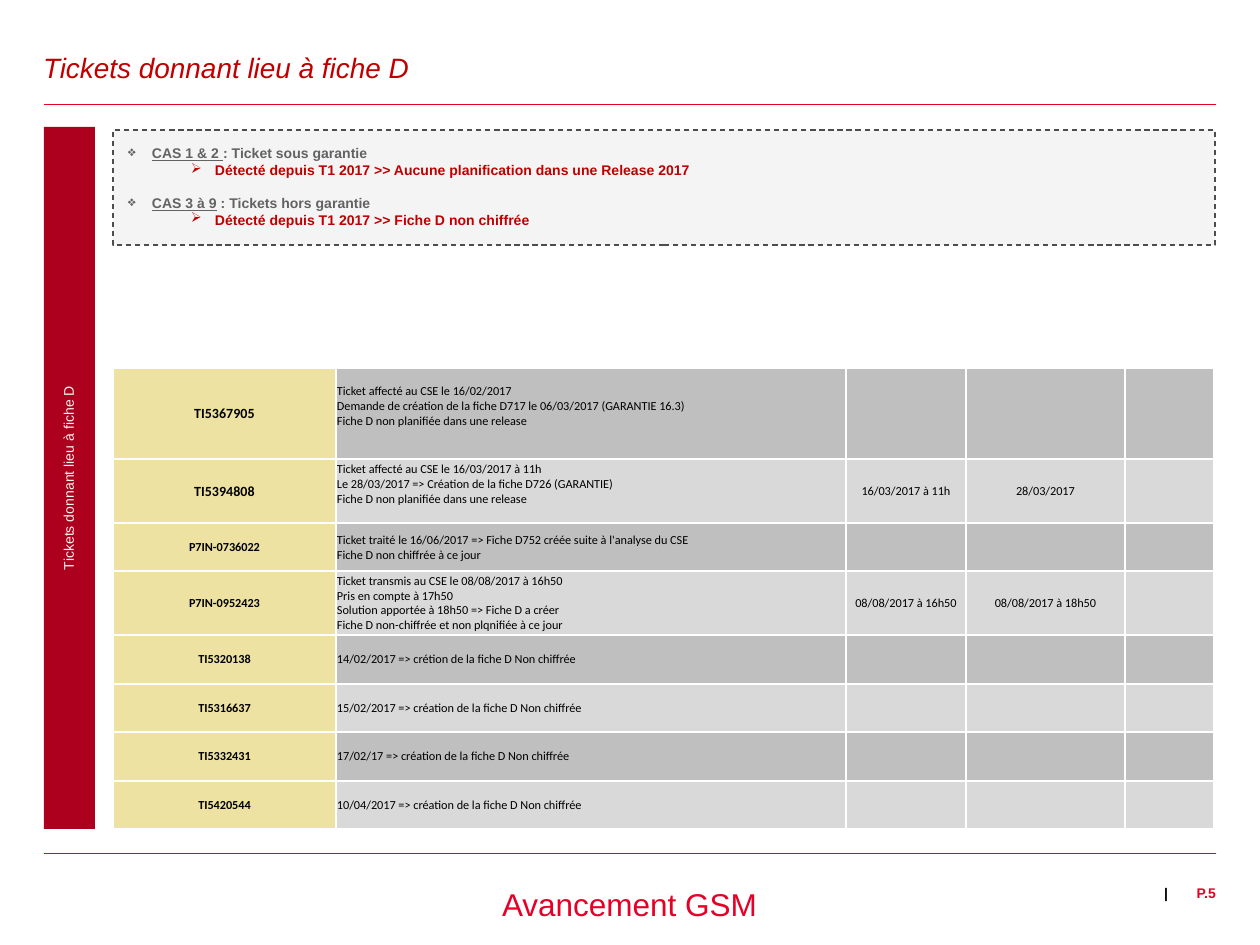
from dataclasses import dataclass

from lxml import etree
from pptx import Presentation
from pptx import util as u
from pptx.dml.color import RGBColor
from pptx.enum import dml, shapes, text
from pptx.oxml import ns

SCALE = 914400 / 126
RED, DARK_RED, BAR_RED = "E60028", "C00000", "AC001E"
GREY, BLACK, WHITE, SAND = "626262", "000000", "FFFFFF", "EDE2A1"
ROW_FILLS = ("BFBFBF", "D9D9D9")
TITLE = "Tickets donnant lieu à fiche D"
LEFT, RIGHT = 44, 1216
COLUMN_WIDTHS = (223, 510, 120, 159, 89)


@dataclass
class Ticket:
    number: str
    history: str
    height: int
    start: str = ""
    end: str = ""
    number_size: int = 7
    space_below: int = 0


@dataclass
class Case:
    name: str
    scope: str
    status: str
    gap: float = 0


TICKETS = [
    Ticket("TI5367905", "Ticket affecté au CSE le 16/02/2017\v"
           "Demande de création de la fiche D717 le 06/03/2017 (GARANTIE 16.3)\v"
           "Fiche D non planifiée dans une release", 91, number_size=8, space_below=15),
    Ticket("TI5394808", "Ticket affecté au CSE le 16/03/2017 à 11h\v"
           "Le 28/03/2017 => Création de la fiche D726 (GARANTIE)\v"
           "Fiche D non planifiée dans une release", 64,
           "16/03/2017 à 11h", "28/03/2017", number_size=8, space_below=15),
    Ticket("P7IN-0736022", "Ticket traité le 16/06/2017 => Fiche D752 créée suite à l'analyse du CSE\v"
           "Fiche D non chiffrée à ce jour", 48),
    Ticket("P7IN-0952423", "Ticket transmis au CSE le 08/08/2017 à 16h50\v"
           "Pris en compte à 17h50\v"
           "Solution apportée à 18h50 => Fiche D a créer\v"
           "Fiche D non-chiffrée et non plqnifiée à ce jour", 64,
           "08/08/2017 à 16h50", "08/08/2017 à 18h50"),
    Ticket("TI5320138", "14/02/2017 => crétion de la fiche D Non chiffrée", 49),
    Ticket("TI5316637", "15/02/2017 => création de la fiche D Non chiffrée", 48),
    Ticket("TI5332431", "17/02/17 => création de la fiche D Non chiffrée", 49),
    Ticket("TI5420544", "10/04/2017 => création de la fiche D Non chiffrée", 48),
]
CASES = [
    Case("CAS 1 & 2 ", ": Ticket sous garantie",
         "Détecté depuis T1 2017 >> Aucune planification dans une Release 2017"),
    Case("CAS 3 à 9", " : Tickets hors garantie",
         "Détecté depuis T1 2017 >> Fiche D non chiffrée", 9.2),
]


def px(length: int) -> int:
    return round(length * SCALE)


def color(value: str) -> RGBColor:
    return RGBColor.from_string(value)


def set_font(para, size: int, value: str, name: str = "Arial", bold: bool = False) -> None:
    para.font.size = u.Pt(size)
    para.font.name = name
    para.font.bold = bold
    para.font.color.rgb = color(value)


def set_frame(frame, left: int = 0, top: int = 0, anchor=text.MSO_ANCHOR.TOP) -> None:
    frame.margin_left, frame.margin_top = px(left), px(top)
    frame.margin_right = frame.margin_bottom = 0
    frame.vertical_anchor = anchor
    frame.word_wrap = True


def add_rule(page, y: int) -> None:
    rule = page.shapes.add_connector(
        shapes.MSO_CONNECTOR.STRAIGHT, px(RIGHT), px(y), px(LEFT), px(y))
    rule.line.color.rgb = color(RED)
    rule.line.width = u.Pt(0.5)
    etree.SubElement(rule._element.spPr, ns.qn("a:effectLst"))


def add_label(page, words: str, left: int, width: int, size: int, value: str,
              align, bold: bool = False) -> None:
    box = page.shapes.add_textbox(px(left), px(885), px(width), px(60))
    set_frame(box.text_frame)
    para = box.text_frame.paragraphs[0]
    para.text, para.alignment = words, align
    set_font(para, size, value, bold=bold)


def add_rectangle(page, left: int, top: int, width: int, height: int, fill: str):
    box = page.shapes.add_shape(
        shapes.MSO_SHAPE.RECTANGLE, px(left), px(top), px(width), px(height))
    box.shadow.inherit = False
    box.fill.solid()
    box.fill.fore_color.rgb = color(fill)
    box.line.fill.background()
    return box


def set_title(page) -> None:
    title = page.shapes.title
    title.left, title.top, title.width, title.height = px(43), px(35), px(1171), px(69)
    set_frame(title.text_frame, anchor=text.MSO_ANCHOR.MIDDLE)
    para = title.text_frame.paragraphs[0]
    para.text, para.alignment, para.line_spacing = TITLE, text.PP_ALIGN.LEFT, 0.9
    set_font(para, 16, DARK_RED)
    para.font.italic = True


def add_side_bar(page) -> None:
    bar = add_rectangle(page, LEFT, 127, 51, 702, BAR_RED)
    set_frame(bar.text_frame, anchor=text.MSO_ANCHOR.MIDDLE)
    bar.text_frame._txBody.bodyPr.set("vert", "vert270")
    para = bar.text_frame.paragraphs[0]
    para.text, para.alignment, para.line_spacing = TITLE, text.PP_ALIGN.CENTER, 0.9
    set_font(para, 8, "F8F6EE")


def set_bullet(para, symbol: str, indent: int) -> None:
    properties = para._p.get_or_add_pPr()
    properties.set("marL", str(px(indent)))
    properties.set("indent", str(px(-24)))
    etree.SubElement(properties, ns.qn("a:buChar"), char=symbol)
    para.alignment = text.PP_ALIGN.LEFT


def add_cases(page) -> None:
    box = add_rectangle(page, 113, 130, 1102, 115, "F2F2F2")
    fill_color = box._element.spPr.find(ns.qn("a:solidFill"))[0]
    etree.SubElement(fill_color, ns.qn("a:alpha"), val="80000")
    box.line.color.rgb = color("4D4D4D")
    box.line.width = u.Pt(0.75)
    box.line.dash_style = dml.MSO_LINE.DASH
    frame = box.text_frame
    set_frame(frame, 15, 15)
    for index, case in enumerate(CASES):
        heading = frame.add_paragraph() if index else frame.paragraphs[0]
        set_bullet(heading, "❖", 24)
        heading.space_before = u.Pt(case.gap)
        set_font(heading, 8, GREY, bold=True)
        for words, underlined in ((case.name, True), (case.scope, False)):
            span = heading.add_run()
            span.text, span.font.underline = words, underlined
        status = frame.add_paragraph()
        status.text, status.level = case.status, 1
        set_bullet(status, "➢", 87)
        set_font(status, 8, DARK_RED, bold=True)


def set_borders(cell) -> None:
    properties = cell._tc.get_or_add_tcPr()
    for index, side in enumerate(("lnL", "lnR", "lnT", "lnB")):
        border = etree.Element(ns.qn(f"a:{side}"), w=str(u.Pt(1)))
        fill = etree.SubElement(border, ns.qn("a:solidFill"))
        etree.SubElement(fill, ns.qn("a:srgbClr"), val=WHITE)
        properties.insert(index, border)


def add_tickets(page) -> None:
    table = page.shapes.add_table(
        len(TICKETS), len(COLUMN_WIDTHS), px(113), px(368), px(sum(COLUMN_WIDTHS)),
        px(sum(ticket.height for ticket in TICKETS))).table
    table.first_row = table.horz_banding = False
    for column, width in zip(table.columns, COLUMN_WIDTHS):
        column.width = px(width)
    for index, ticket in enumerate(TICKETS):
        table.rows[index].height = px(ticket.height)
        values = (ticket.number, ticket.history, ticket.start, ticket.end, "")
        for position, words in enumerate(values):
            cell = table.cell(index, position)
            cell.fill.solid()
            cell.fill.fore_color.rgb = color(SAND if position == 0 else ROW_FILLS[index % 2])
            set_borders(cell)
            cell.margin_left = cell.margin_right = cell.margin_top = px(1)
            cell.margin_bottom = px(ticket.space_below if position == 1 else 0)
            cell.vertical_anchor = text.MSO_ANCHOR.MIDDLE
            para = cell.text_frame.paragraphs[0]
            para.text = words
            para.alignment = text.PP_ALIGN.LEFT if position == 1 else text.PP_ALIGN.CENTER
            size = ticket.number_size if position == 0 else 7
            set_font(para, size, BLACK, "Calibri", bold=position == 0)


def main() -> None:
    deck = Presentation()
    deck.slide_width, deck.slide_height = px(1260), px(945)
    page = deck.slides.add_slide(deck.slide_layouts[5])
    for y in (853, 104):
        add_rule(page, y)
    add_label(page, "|", 1161, 10, 8, BLACK, text.PP_ALIGN.CENTER, bold=True)
    add_label(page, "P.5", 1166, 50, 8, RED, text.PP_ALIGN.RIGHT, bold=True)
    set_title(page)
    add_side_bar(page)
    add_label(page, "Avancement GSM", 382, 495, 18, RED, text.PP_ALIGN.CENTER)
    add_tickets(page)
    add_cases(page)
    deck.save("out.pptx")


if __name__ == "__main__":
    main()
